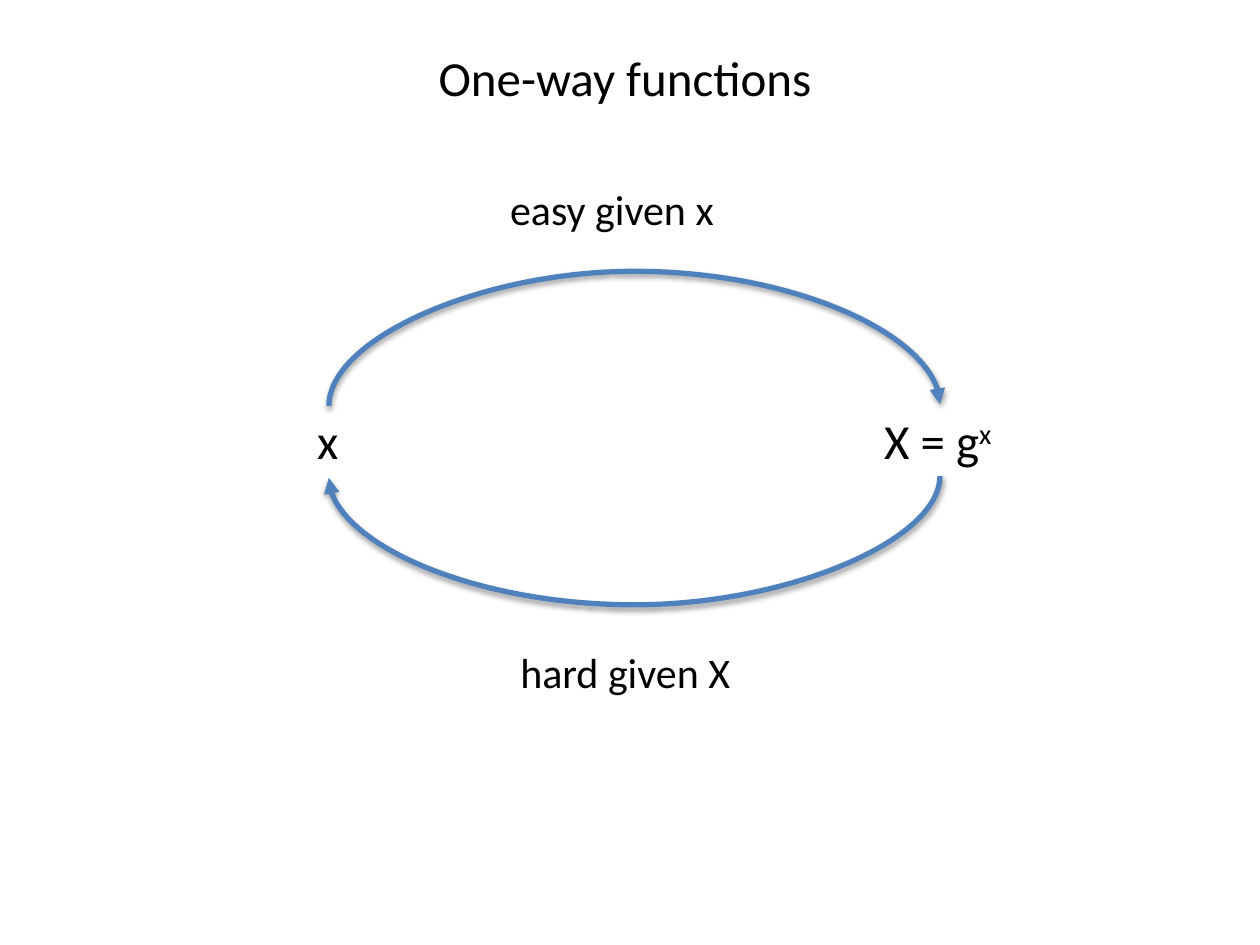
from dataclasses import dataclass

from lxml.etree import SubElement
from pptx import Presentation
from pptx.dml.color import RGBColor
from pptx.enum.shapes import MSO_CONNECTOR
from pptx.enum.text import MSO_ANCHOR, MSO_AUTO_SIZE, PP_ALIGN
from pptx.oxml import parse_xml
from pptx.oxml.ns import nsdecls, qn
from pptx.shapes.base import BaseShape
from pptx.slide import Slide
from pptx.util import Pt

BLACK = RGBColor(0x00, 0x00, 0x00)
BLUE = RGBColor(0x4F, 0x81, 0xBD)
FONT = "Calibri"

ARC_CENTER_X = 362.5
ARC_SPAN = 349.2
ARC_DROP = 1.0  # height difference between the two ends of an arc

SHADOW_XML = (
    f'<a:effectLst {nsdecls("a")}>'
    '<a:outerShdw blurRad="40000" dist="20000" dir="5400000" rotWithShape="0">'
    '<a:srgbClr val="000000"><a:alpha val="38000"/></a:srgbClr>'
    "</a:outerShdw></a:effectLst>"
)


@dataclass(frozen=True)
class Label:
    text: str
    left: float
    top: float
    width: float
    height: float
    size: float
    superscript: str = ""


@dataclass(frozen=True)
class Arc:
    center_y: float
    bulge: float
    upward: bool


TITLE = Label("One-way functions", 243.4, 23.8, 230.4, 41.2, 28)
LABELS = (
    Label("x", 174.2, 231.1, 26.6, 41.2, 28),
    Label("X = g", 498.2, 231.1, 77.8, 41.2, 28, superscript="x"),
    Label("easy given x", 284.4, 101.5, 132.5, 36.4, 24),
    Label("hard given X", 290.2, 365.8, 136.1, 36.4, 24),
)
ARCS = (
    Arc(center_y=231.5, bulge=77.55, upward=True),
    Arc(center_y=272.5, bulge=74.18, upward=False),
)


def write_label(shape: BaseShape, label: Label) -> None:
    """Place the shape and fill it with the label's runs."""
    shape.left, shape.top = Pt(label.left), Pt(label.top)
    shape.width, shape.height = Pt(label.width), Pt(label.height)
    frame = shape.text_frame
    frame.word_wrap = False
    frame.auto_size = MSO_AUTO_SIZE.SHAPE_TO_FIT_TEXT
    frame.vertical_anchor = MSO_ANCHOR.TOP
    paragraph = frame.paragraphs[0]
    paragraph.alignment = PP_ALIGN.LEFT
    for text, baseline in ((label.text, 0), (label.superscript, 30000)):
        if not text:
            continue
        run = paragraph.add_run()
        run.text = text
        run.font.name = FONT
        run.font.size = Pt(label.size)
        run.font.color.rgb = BLACK
        if baseline:
            run.font._element.set("baseline", str(baseline))


def draw_arc(slide: Slide, arc: Arc) -> None:
    """Draw a tall, thin curved connector and turn it by 90 degrees."""
    sign = 1 if arc.upward else -1
    half_width, half_height = sign * ARC_DROP / 2, sign * ARC_SPAN / 2
    connector = slide.shapes.add_connector(
        MSO_CONNECTOR.CURVE,
        Pt(ARC_CENTER_X + half_width),
        Pt(arc.center_y + half_height),
        Pt(ARC_CENTER_X - half_width),
        Pt(arc.center_y - half_height),
    )
    connector.line.color.rgb = BLUE
    connector.line.width = Pt(3)

    properties = connector._element.spPr
    properties.find(qn("a:xfrm")).set("rot", "5400000")
    adjustments = properties.find(qn("a:prstGeom")).get_or_add_avLst()
    bulge = round(arc.bulge / ARC_DROP * 100000)
    SubElement(adjustments, qn("a:gd"), name="adj1", fmla=f"val {bulge}")
    SubElement(properties.find(qn("a:ln")), qn("a:tailEnd"), type="triangle")
    properties.append(parse_xml(SHADOW_XML))


def main() -> None:
    presentation = Presentation()
    presentation.slide_width, presentation.slide_height = Pt(720), Pt(540)
    title_only = presentation.slide_layouts[5]
    slide = presentation.slides.add_slide(title_only)

    write_label(slide.shapes.title, TITLE)
    for arc in ARCS:
        draw_arc(slide, arc)
    for label in LABELS:
        textbox = slide.shapes.add_textbox(0, 0, 0, 0)
        write_label(textbox, label)

    presentation.save("out.pptx")


if __name__ == "__main__":
    main()
